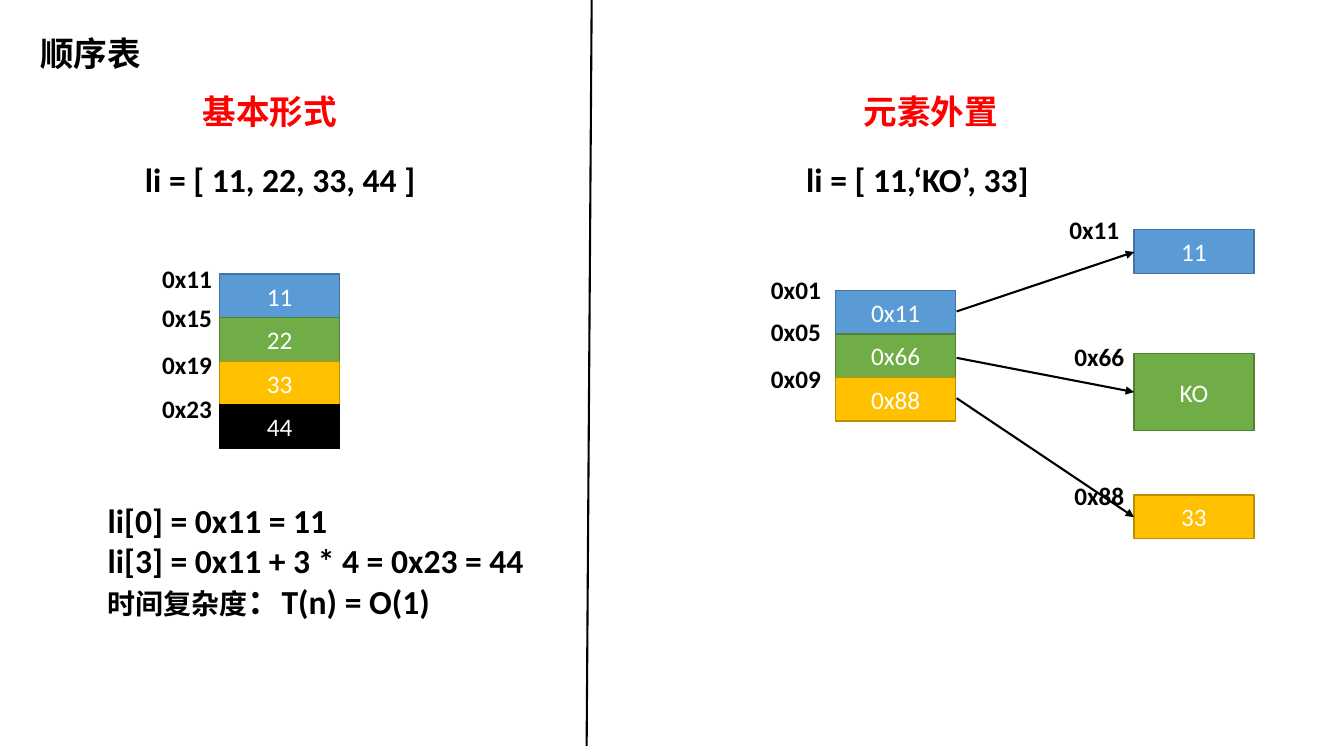
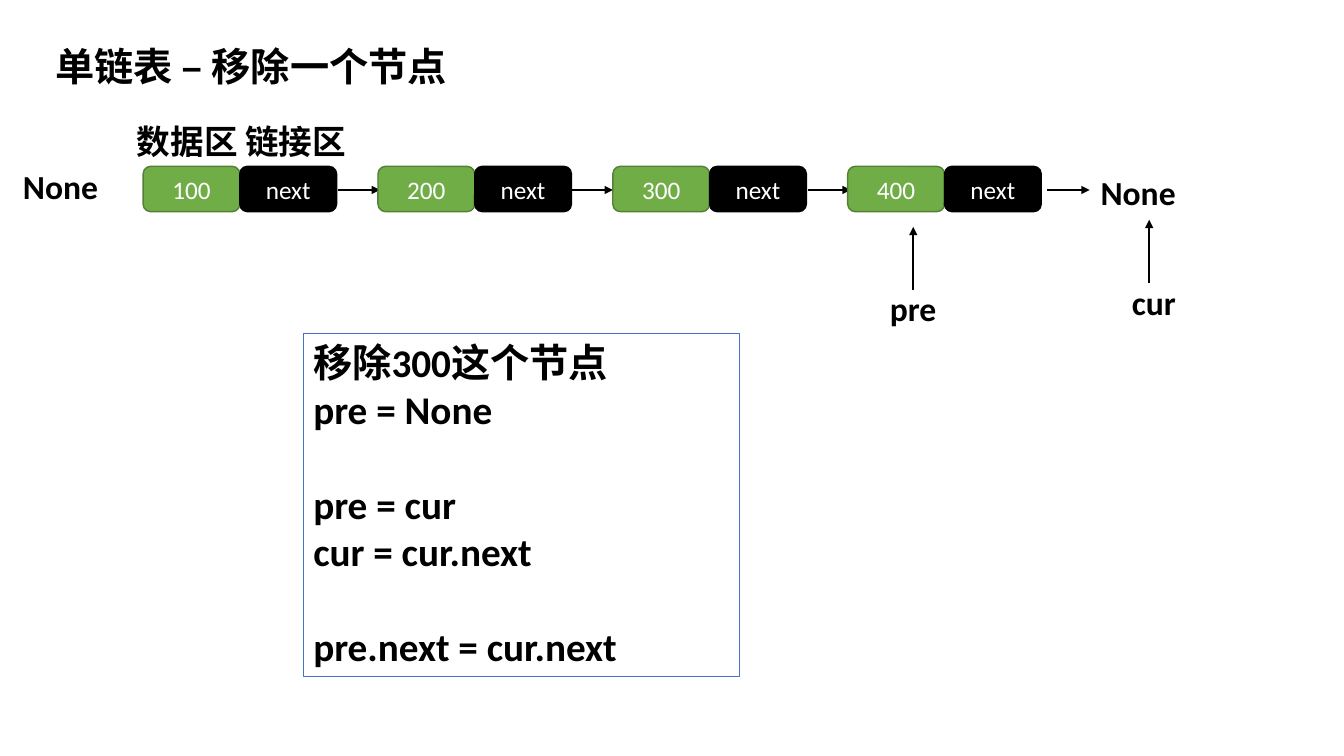
from dataclasses import dataclass

import lxml.etree
import pptx
import pptx.dml.color
import pptx.enum.shapes
import pptx.enum.text
import pptx.oxml.ns
import pptx.presentation
import pptx.shapes.autoshape
import pptx.shapes.base
import pptx.slide
import pptx.text.text
import pptx.util

UNIT = 0.1  # inches in one grid column or row
SLIDE_COLUMNS, SLIDE_ROWS = 133.33, 75
FONT = "Calibri"
BLACK, WHITE, RED = "000000", "FFFFFF", "FF0000"
BLUE, GREEN, AMBER = "5B9BD5", "70AD47", "FFC000"
PANEL_BORDER = "4472C4"
BORDERS = {BLUE: "43739E", GREEN: "538035", AMBER: "BD8E00", BLACK: BLACK}
SMALL, MEDIUM, LARGE = 18, 24, 28
RECTANGLE = pptx.enum.shapes.MSO_SHAPE.RECTANGLE
ROUNDED = pptx.enum.shapes.MSO_SHAPE.ROUNDED_RECTANGLE

CELL_WIDTH, CELL_HEIGHT = 11.9, 4.33
NODE_WIDTH, NODE_HEIGHT, NODE_PITCH = 9.6, 4.5, 23.3
LINK_LENGTH, POINTER_LENGTH = 4.2, 6.3


@dataclass(frozen=True)
class Label:
    """Bold text at a grid position; without a width it does not wrap."""
    text: str
    left: float
    top: float
    width: float | None = None
    size: int = MEDIUM
    color: str = BLACK


@dataclass(frozen=True)
class Box:
    """A filled shape with centred text."""
    text: str
    left: float
    top: float
    fill: str
    width: float = CELL_WIDTH
    height: float = CELL_HEIGHT
    outline: pptx.enum.shapes.MSO_SHAPE = RECTANGLE


@dataclass(frozen=True)
class Line:
    """A straight line between two grid points."""
    start: tuple[float, float]
    end: tuple[float, float]
    arrow: bool = True


def grid(cells: float) -> pptx.util.Length:
    """Turn grid columns or rows into a length."""
    return pptx.util.Inches(cells * UNIT)


def rgb(color: str) -> pptx.dml.color.RGBColor:
    """Turn a hex string into a colour."""
    return pptx.dml.color.RGBColor.from_string(color)


def write(paragraph: pptx.text.text._Paragraph, text: str, *, size: int = MEDIUM,
          color: str = BLACK, bold: bool = True, centered: bool = False,
          space_before: float = 0) -> None:
    """Append formatted text to a paragraph."""
    alignment = pptx.enum.text.PP_ALIGN
    paragraph.alignment = alignment.CENTER if centered else alignment.LEFT
    paragraph.space_before = pptx.util.Pt(space_before)
    run = paragraph.add_run()
    run.text = text
    run.font.name = FONT
    run.font.size = pptx.util.Pt(size)
    run.font.bold = bold
    run.font.color.rgb = rgb(color)


def add_text_box(slide: pptx.slide.Slide, left: float, top: float, width: float,
                 height: float, *, wrap: bool = True) -> pptx.shapes.autoshape.Shape:
    """Add an empty text box that grows with its text."""
    shape = slide.shapes.add_textbox(grid(left), grid(top), grid(width), grid(height))
    shape.text_frame.word_wrap = wrap
    shape.text_frame.auto_size = pptx.enum.text.MSO_AUTO_SIZE.SHAPE_TO_FIT_TEXT
    return shape


def add_label(slide: pptx.slide.Slide, label: Label) -> None:
    """Draw one line of bold text."""
    height = label.size / 6 + 1
    # Four characters of unwrapped text take about 7 columns at the small size.
    width = label.width or (7 if label.size == SMALL else 2.4 * len(label.text))
    shape = add_text_box(slide, label.left, label.top, width, height,
                         wrap=label.width is not None)
    write(shape.text_frame.paragraphs[0], label.text, size=label.size, color=label.color)


def add_box(slide: pptx.slide.Slide, box: Box) -> None:
    """Draw a filled box with its value in white."""
    shape = slide.shapes.add_shape(box.outline, grid(box.left), grid(box.top),
                                   grid(box.width), grid(box.height))
    shape.shadow.inherit = False
    shape.fill.solid()
    shape.fill.fore_color.rgb = rgb(box.fill)
    shape.line.color.rgb = rgb(BORDERS[box.fill])
    shape.line.width = pptx.util.Pt(1)
    shape.text_frame.vertical_anchor = pptx.enum.text.MSO_ANCHOR.MIDDLE
    write(shape.text_frame.paragraphs[0], box.text, size=SMALL, color=WHITE,
          bold=False, centered=True)


def add_line(slide: pptx.slide.Slide, line: Line) -> None:
    """Draw a black line, with an arrowhead at its end if asked."""
    connector = slide.shapes.add_connector(
        pptx.enum.shapes.MSO_CONNECTOR.STRAIGHT,
        *(grid(value) for value in (*line.start, *line.end)))
    connector.line.color.rgb = rgb(BLACK)
    connector.line.width = pptx.util.Pt(1.5)
    if line.arrow:
        lxml.etree.SubElement(connector.line._get_or_add_ln(),
                              pptx.oxml.ns.qn("a:tailEnd"), type="triangle")
    lxml.etree.SubElement(connector._element.spPr, pptx.oxml.ns.qn("a:effectLst"))


def add_stack(slide: pptx.slide.Slide, left: float, top: float,
              cells: list[tuple[str, str]]) -> None:
    """Draw memory cells one below the other."""
    for row, (text, fill) in enumerate(cells):
        add_box(slide, Box(text, left, top + row * CELL_HEIGHT, fill))


def add_addresses(slide: pptx.slide.Slide, left: float,
                  addresses: dict[str, float]) -> None:
    """Draw a column of addresses, each at its own row."""
    for text, top in addresses.items():
        add_label(slide, Label(text, left, top, size=SMALL))


def build_sequence_slide(slide: pptx.slide.Slide) -> None:
    """Compare a plain sequential list with one that stores references."""
    for label in (
        Label("顺序表", 3, 2.8, 12.1),
        Label("基本形式", 19.1, 8.5, 20.1, color=RED),
        Label("li = [ 11, 22, 33, 44 ]", 13.4, 15.3, 31.4),
        Label("元素外置", 84.7, 8.5, 20.1, color=RED),
        Label("li = [ 11,‘KO’, 33]", 79, 15.3, 31.4),
    ):
        add_label(slide, label)

    add_stack(slide, 21.8, 27.2,
              [("11", BLUE), ("22", GREEN), ("33", AMBER), ("44", BLACK)])
    add_addresses(slide, 15.1, {"0x11": 25.6, "0x15": 29.5, "0x19": 34.2, "0x23": 38.5})

    access = add_text_box(slide, 9.7, 49.1, 44.8, 13.1).text_frame
    write(access.paragraphs[0], "li[0] = 0x11 = 11")
    write(access.add_paragraph(), "li[3] = 0x11 + 3 * 4 = 0x23 = 44")
    complexity = access.add_paragraph()
    write(complexity, "时间复杂度", size=20)
    write(complexity, "：T(n) = O(1)")

    add_line(slide, Line((58.7, 0), (58.2, 74), arrow=False))

    add_stack(slide, 82.9, 28.8, [("0x11", BLUE), ("0x66", GREEN), ("0x88", AMBER)])
    add_addresses(slide, 75.5, {"0x01": 26.7, "0x05": 30.9, "0x09": 35.6})
    add_addresses(slide, 105.1, {"0x11": 20.8})
    add_addresses(slide, 105.6, {"0x66": 33.4, "0x88": 47.2})
    for element in (
        Box("11", 112.5, 22.8, BLUE),
        Box("KO", 112.5, 35.1, GREEN, height=7.6),
        Box("33", 112.5, 49.1, AMBER),
    ):
        add_box(slide, element)
    for start_row, end_row in ((30.9, 25), (35.5, 38.9), (39.5, 51.3)):
        add_line(slide, Line((94.9, start_row), (112.5, end_row)))


def build_removal_slide(slide: pptx.slide.Slide) -> None:
    """Show a singly linked list and the steps that remove a node."""
    for label in (
        Label("单链表 – 移除一个节点", 4.5, 3.7, 42.3, size=LARGE),
        Label("数据区 链接区", 12.6, 11.5, 23.6),
        Label("None", 1.3, 16),
        Label("None", 108.2, 16.6),
        Label("pre", 87.3, 28.1, 6.6),
        Label("cur", 111.3, 27.5, 6.4),
    ):
        add_label(slide, label)

    for left in (33.5, 56.6, 80.2, 103.9):
        add_line(slide, Line((left, 18.85), (left + LINK_LENGTH, 18.85)))
    for index, value in enumerate(("100", "200", "300", "400")):
        left = 14.2 + index * NODE_PITCH
        for part, (text, fill) in enumerate(((value, GREEN), ("next", BLACK))):
            add_box(slide, Box(text, left + part * NODE_WIDTH, 16.5, fill,
                               NODE_WIDTH, NODE_HEIGHT, ROUNDED))
    for column, row in ((90.6, 28.8), (114, 28.1)):
        add_line(slide, Line((column, row), (column, row - POINTER_LENGTH)))

    panel = add_text_box(slide, 30.1, 33.1, 43.3, 34)
    panel.fill.solid()
    panel.fill.fore_color.rgb = rgb(WHITE)
    panel.line.color.rgb = rgb(PANEL_BORDER)
    panel.line.width = pptx.util.Pt(1)
    steps = (("移除300这个节点", 0), ("pre = None", 0), ("pre = cur", 34),
             ("cur = cur.next", 0), ("pre.next = cur.next", 34))
    for index, (text, space_before) in enumerate(steps):
        frame = panel.text_frame
        paragraph = frame.add_paragraph() if index else frame.paragraphs[0]
        write(paragraph, text, size=LARGE, space_before=space_before)


def main() -> None:
    """Build both slides and save them."""
    presentation = pptx.Presentation()
    presentation.slide_width = grid(SLIDE_COLUMNS)
    presentation.slide_height = grid(SLIDE_ROWS)
    blank_layout = presentation.slide_layouts[6]
    for build in (build_sequence_slide, build_removal_slide):
        build(presentation.slides.add_slide(blank_layout))
    presentation.save("out.pptx")


main()
